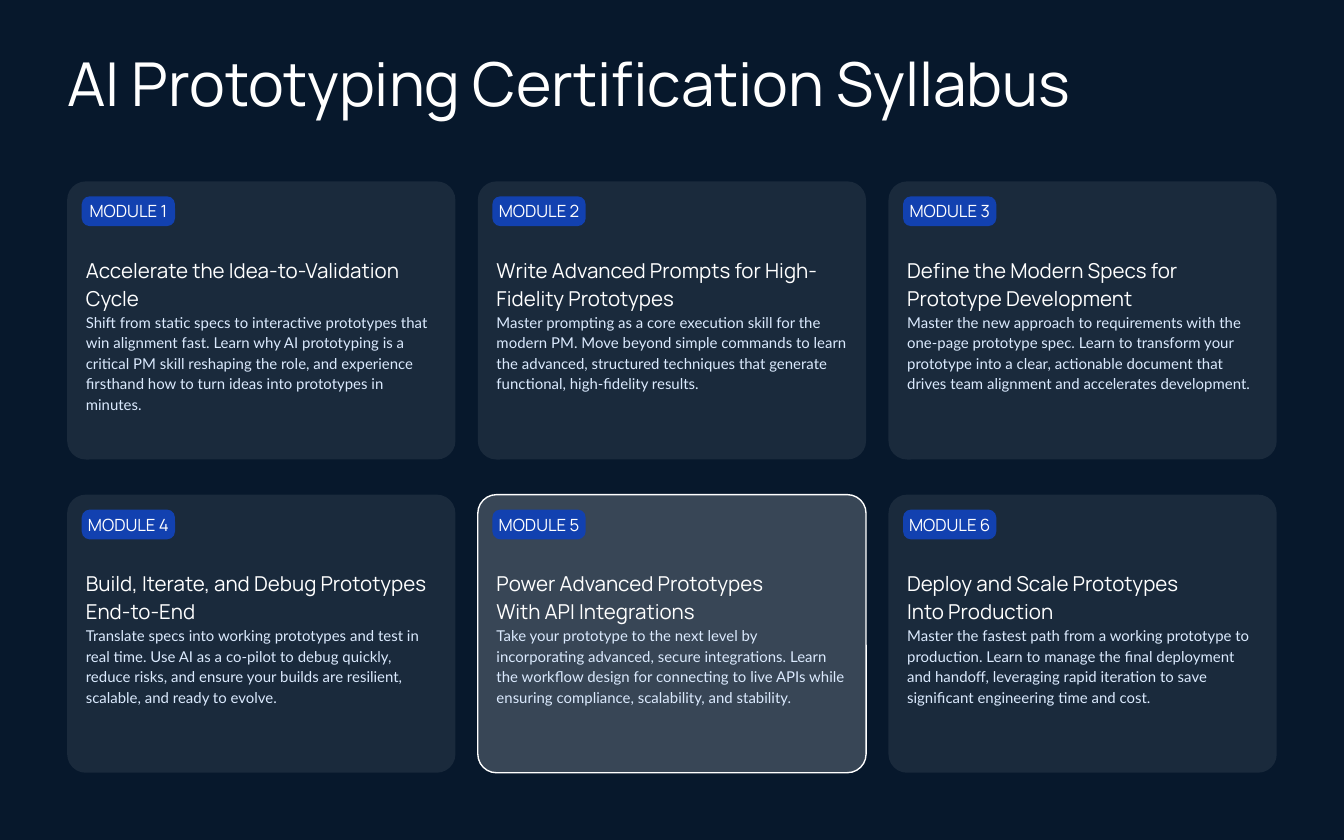
"""Build the syllabus slide: a title above a grid of six module cards."""
from copy import deepcopy

from lxml.etree import SubElement
from pptx import Presentation
from pptx.dml.color import RGBColor
from pptx.enum.shapes import MSO_SHAPE
from pptx.enum.text import MSO_ANCHOR, PP_ALIGN
from pptx.oxml.ns import qn
from pptx.util import Pt

TITLE = "AI Prototyping Certification Syllabus"
MODULES = [
    ("Accelerate the Idea-to-Validation Cycle",
     "Shift from static specs to interactive prototypes that win alignment fast. "
     "Learn why AI prototyping is a critical PM skill reshaping the role, and "
     "experience firsthand how to turn ideas into prototypes in minutes."),
    ("Write Advanced Prompts for High-Fidelity Prototypes",
     "Master prompting as a core execution skill for the modern PM. Move beyond "
     "simple commands to learn the advanced, structured techniques that generate "
     "functional, high-fidelity results."),
    ("Define the Modern Specs for Prototype Development",
     "Master the new approach to requirements with the one-page prototype spec. "
     "Learn to transform your prototype into a clear, actionable document that "
     "drives team alignment and accelerates development."),
    ("Build, Iterate, and Debug Prototypes End-to-End",
     "Translate specs into working prototypes and test in real time. Use AI as a "
     "co-pilot to debug quickly, reduce risks, and ensure your builds are "
     "resilient, scalable, and ready to evolve."),
    ("Power Advanced Prototypes\vWith API Integrations",
     "Take your prototype to the next level by incorporating advanced, secure "
     "integrations. Learn the workflow design for connecting to live APIs while "
     "ensuring compliance, scalability, and stability."),
    ("Deploy and Scale Prototypes\vInto Production",
     "Master the fastest path from a working prototype to production. Learn to "
     "manage the final deployment and handoff, leveraging rapid iteration to save "
     "significant engineering time and cost."),
]
HIGHLIGHTED = 5
NAVY, BLUE, WHITE, PALE = "07182C", "1241B0", "FFFFFF", "DBEAFE"
MARGIN, GRID_TOP, GRID_BOTTOM = 36, 97.2, 414
COLUMNS, CONTENT_WIDTH = 3, 648
CARD_WIDTH, CARD_HEIGHT = 208, 149
COLUMN_STEP = (CONTENT_WIDTH - CARD_WIDTH) / (COLUMNS - 1)
ROW_STEP = GRID_BOTTOM - GRID_TOP - CARD_HEIGHT


def color(value):
    return RGBColor.from_string(value)


def set_frame(box, anchor, insets=(0, 0, 0, 0)):
    frame = box.text_frame
    frame.word_wrap = True
    frame.vertical_anchor = anchor
    (frame.margin_left, frame.margin_top,
     frame.margin_right, frame.margin_bottom) = map(Pt, insets)
    return frame


def write(para, text, *, size, font="Manrope", ink=WHITE,
          align=PP_ALIGN.LEFT, spacing=1.0):
    para.text = text
    para.alignment = align
    para.line_spacing = spacing
    para.space_before = para.space_after = Pt(0)
    for span in para.runs:
        span.font.size = Pt(size)
        span.font.name = font
        span.font.bold = False
        span.font.color.rgb = color(ink)
    for line_break in para._p.findall(qn("a:br")):
        line_break.append(deepcopy(para.runs[0]._r.rPr))


def add_panel(page, left, top, width, height, *, fill, rounding, alpha=None, line=None):
    panel = page.shapes.add_shape(MSO_SHAPE.ROUNDED_RECTANGLE,
                                  *map(Pt, (left, top, width, height)))
    panel.adjustments[0] = rounding
    panel.shadow.inherit = False
    panel.fill.solid()
    panel.fill.fore_color.rgb = color(fill)
    if alpha:
        tint = panel._element.spPr.find(qn("a:solidFill")).find(qn("a:srgbClr"))
        SubElement(tint, qn("a:alpha"), val=str(alpha * 1000))
    if line:
        panel.line.color.rgb = color(line)
        panel.line.width = Pt(0.75)
    else:
        panel.line.fill.background()
    return panel


def add_module(page, number, heading, summary):
    row, column = divmod(number - 1, COLUMNS)
    left = MARGIN + column * COLUMN_STEP
    top = GRID_TOP + row * ROW_STEP
    active = number == HIGHLIGHTED
    card = add_panel(page, left, top, CARD_WIDTH, CARD_HEIGHT, fill=WHITE,
                     rounding=0.067, alpha=20 if active else 8,
                     line=WHITE if active else None)
    frame = set_frame(card, MSO_ANCHOR.TOP, (7.2, 36, 7.2, 7.2))
    write(frame.paragraphs[0], heading, size=11, spacing=1.15)
    write(frame.add_paragraph(), summary, size=8, font="Lato", ink=PALE, spacing=1.15)
    tag = add_panel(page, left + 7.8, top + 8, 50, 16, fill=BLUE, rounding=0.27)
    write(set_frame(tag, MSO_ANCHOR.MIDDLE).paragraphs[0], f"MODULE {number}",
          size=9, align=PP_ALIGN.CENTER)


def main():
    deck = Presentation()
    deck.slide_width, deck.slide_height = Pt(720), Pt(450)
    page = deck.slides.add_slide(deck.slide_layouts[5])
    page.background.fill.solid()
    page.background.fill.fore_color.rgb = color(NAVY)
    title = page.shapes.title
    title.left, title.top, title.width, title.height = map(
        Pt, (MARGIN, 36, CONTENT_WIDTH, 23))
    write(set_frame(title, MSO_ANCHOR.MIDDLE).paragraphs[0], TITLE,
          size=32.4, spacing=0.8)
    for number, (heading, summary) in enumerate(MODULES, 1):
        add_module(page, number, heading, summary)
    deck.save("out.pptx")


if __name__ == "__main__":
    main()
